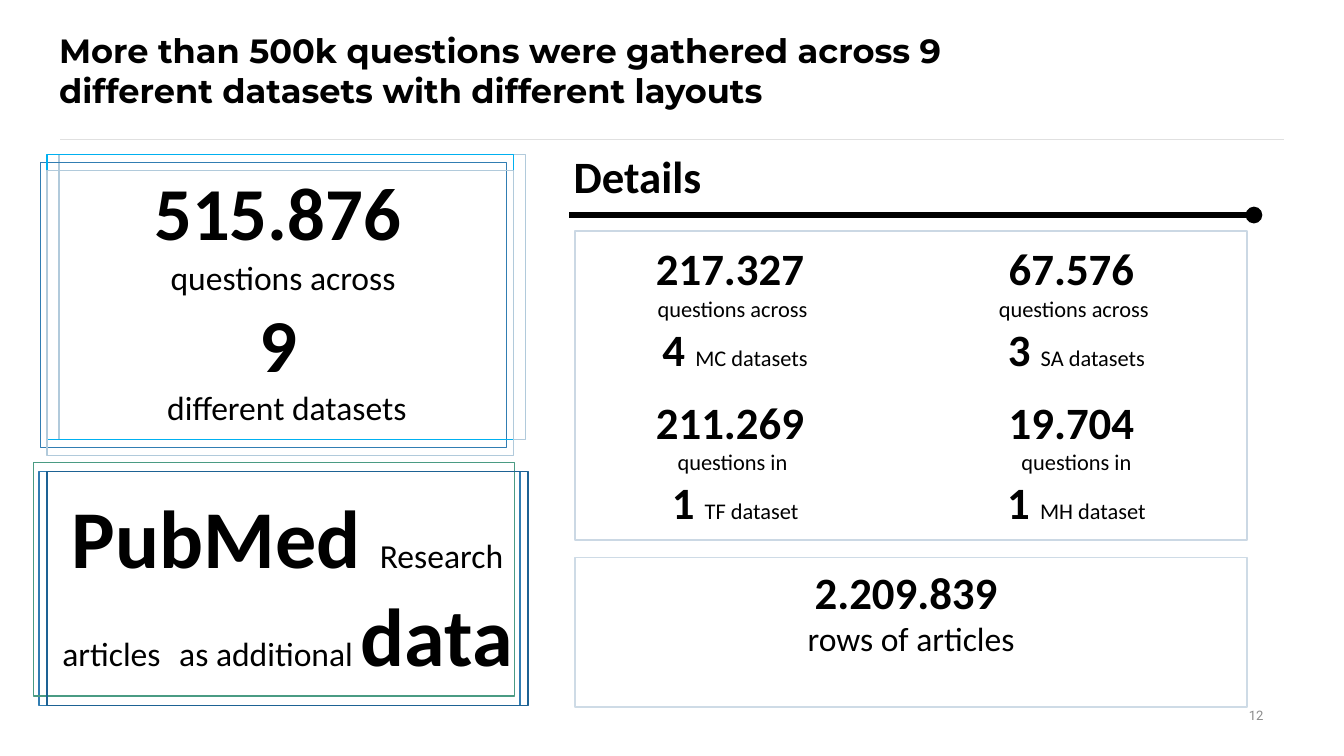
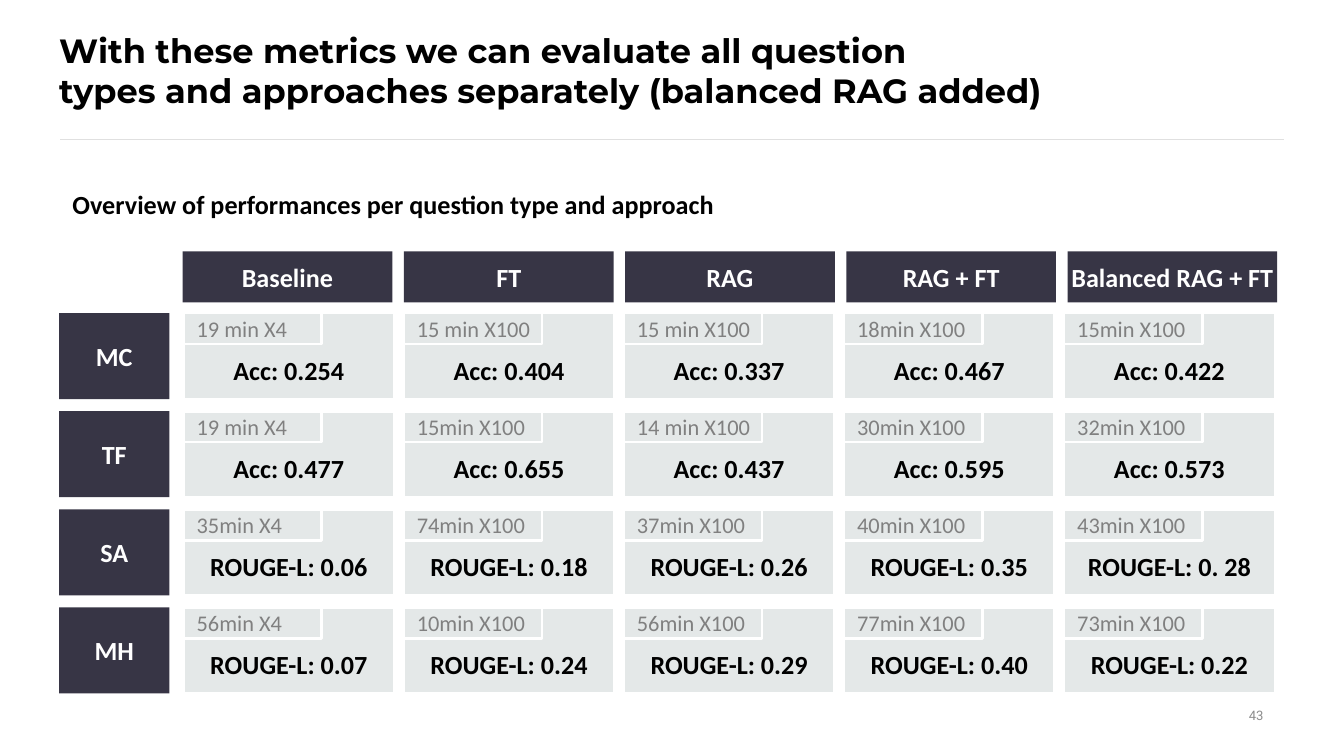
from dataclasses import dataclass
from itertools import product
from typing import NamedTuple

from lxml import etree
from pptx import Presentation, util as u
from pptx.dml.color import RGBColor
from pptx.enum import shapes, text
from pptx.oxml import ns

# The slide is 100 columns wide and 56.25 rows high; grid cells are square.
WIDTH, HEIGHT = u.Inches(10), u.Inches(5.625)
COLUMNS = 100

BLACK = RGBColor(0x00, 0x00, 0x00)
WHITE = RGBColor(0xFF, 0xFF, 0xFF)
RULE_GREY = RGBColor(0xE0, 0xE0, 0xE0)
NUMBER_GREY = RGBColor(0x8C, 0x8C, 0x8C)
TIME_GREY = RGBColor(0x80, 0x80, 0x80)
CELL_GREY = RGBColor(0xE4, 0xE8, 0xE8)
NAVY = RGBColor(0x37, 0x35, 0x45)
PALE_BLUE = RGBColor(0xB1, 0xCA, 0xDB)
MID_BLUE = RGBColor(0x31, 0x7D, 0xB2)
BRIGHT_BLUE = RGBColor(0x00, 0xB0, 0xF0)
DEEP_BLUE = RGBColor(0x1D, 0x62, 0x94)
GREEN = RGBColor(0x4A, 0x9B, 0x83)
ROWS_BLUE = RGBColor(0xCE, 0xDB, 0xE6)
DETAILS_BLUE = RGBColor(0xCB, 0xD8, 0xE4)

LEFT, CENTER, RIGHT = (text.PP_ALIGN.LEFT, text.PP_ALIGN.CENTER,
                       text.PP_ALIGN.RIGHT)
TOP, MIDDLE, BOTTOM = (text.MSO_ANCHOR.TOP, text.MSO_ANCHOR.MIDDLE,
                       text.MSO_ANCHOR.BOTTOM)


class Area(NamedTuple):
    left: float
    top: float
    width: float
    height: float


class Span(NamedTuple):
    text: str
    size: float
    bold: bool = True


class Frame(NamedTuple):
    left: float
    top: float
    color: RGBColor


@dataclass(frozen=True)
class Stat:
    total: str
    relation: str
    count: str
    kind: str


@dataclass(frozen=True)
class Result:
    time: str
    score: str


STATS = [
    Stat("217.327 ", "questions across ", "4 ", "MC datasets"),
    Stat("67.576 ", "questions across ", "3 ", "SA datasets"),
    Stat("211.269 ", "questions in ", "1 ", "TF dataset"),
    Stat("19.704 ", "questions in", "1 ", "MH dataset"),
]
TOTAL_FRAMES = [
    Frame(4.4, 11.5, PALE_BLUE), Frame(3, 12.1, MID_BLUE),
    Frame(3.5, 11.5, BRIGHT_BLUE), Frame(3.5, 12.7, PALE_BLUE),
]
ARTICLE_FRAMES = [
    Frame(3.5, 35.1, PALE_BLUE), Frame(2.9, 35.1, MID_BLUE),
    Frame(2.5, 34.4, GREEN), Frame(3.5, 35.1, DEEP_BLUE),
]

APPROACHES = ["Baseline", "FT", "RAG", "RAG + FT", "Balanced RAG + FT"]
RESULTS = {
    "MC": [Result("19 min X4", "Acc: 0.254"),
           Result("15 min X100", "Acc: 0.404"),
           Result("15 min X100", "Acc: 0.337"),
           Result("18min X100", "Acc: 0.467"),
           Result("15min X100", "Acc: 0.422")],
    "TF": [Result("19 min X4", "Acc: 0.477"),
           Result("15min X100", "Acc: 0.655"),
           Result("14 min X100", "Acc: 0.437"),
           Result("30min X100", "Acc: 0.595"),
           Result("32min X100", "Acc: 0.573")],
    "SA": [Result("35min X4", "ROUGE-L: 0.06"),
           Result("74min X100", "ROUGE-L: 0.18"),
           Result("37min X100", "ROUGE-L: 0.26"),
           Result("40min X100", "ROUGE-L: 0.35"),
           Result("43min X100", "ROUGE-L: 0. 28")],
    "MH": [Result("56min X4", "ROUGE-L: 0.07"),
           Result("10min X100", "ROUGE-L: 0.24"),
           Result("56min X100", "ROUGE-L: 0.29"),
           Result("77min X100", "ROUGE-L: 0.40"),
           Result("73min X100", "ROUGE-L: 0.22")],
}


def grid(cells: float) -> u.Emu:
    """Turn a number of grid cells into a length."""
    return u.Emu(round(cells * WIDTH / COLUMNS))


def write(shape, paragraphs: list[list[Span]], *, font: str = "Calibri",
          color: RGBColor = BLACK, align=LEFT, anchor=MIDDLE,
          insets: tuple = (1, 0.5, 1, 0.5)) -> None:
    """Fill a shape with paragraphs of spans; a newline is a line break."""
    frame = shape.text_frame
    frame.word_wrap = True
    frame.auto_size = text.MSO_AUTO_SIZE.NONE
    frame.vertical_anchor = anchor
    (frame.margin_left, frame.margin_top,
     frame.margin_right, frame.margin_bottom) = map(grid, insets)
    for index, spans in enumerate(paragraphs):
        para = frame.add_paragraph() if index else frame.paragraphs[0]
        para.alignment = align
        for span in spans:
            for number, line in enumerate(span.text.split("\n")):
                if number:
                    para.add_line_break()
                run = para.add_run()
                run.text = line
                run.font.name = font
                run.font.size = u.Pt(span.size)
                run.font.bold = span.bold
                run.font.color.rgb = color


def add_text(page, area: Area, paragraphs: list[list[Span]], **style) -> None:
    write(page.shapes.add_textbox(*map(grid, area)), paragraphs, **style)


def add_box(page, area: Area, *, fill: RGBColor | None = None,
            line: RGBColor | None = None, weight: float = 0.75):
    box = page.shapes.add_shape(shapes.MSO_SHAPE.RECTANGLE, *map(grid, area))
    box.shadow.inherit = False
    if fill is None:
        box.fill.background()
    else:
        box.fill.solid()
        box.fill.fore_color.rgb = fill
    if line is None:
        box.line.fill.background()
    else:
        box.line.color.rgb = line
        box.line.width = u.Pt(weight)
    return box


def add_rule(page, right: float, left: float, top: float, color: RGBColor,
             weight: float, dot: bool = False) -> None:
    """Draw a horizontal line, with an optional dot at its right end."""
    rule = page.shapes.add_connector(
        shapes.MSO_CONNECTOR.STRAIGHT, *map(grid, (right, top, left, top)))
    rule.line.color.rgb = color
    rule.line.width = u.Pt(weight)
    if dot:
        etree.SubElement(rule.line._get_or_add_ln(), ns.qn("a:headEnd"),
                         type="oval")
    etree.SubElement(rule._element.spPr, ns.qn("a:effectLst"))


def add_page(deck, title: str, title_width: float, number: int):
    """Add a slide with the shared title, rule and slide number."""
    page = deck.slides.add_slide(deck.slide_layouts.get_by_name("Title Only"))
    heading = page.shapes.title
    heading.left, heading.top, heading.width, heading.height = map(
        grid, Area(4.4, 2.2, title_width, 3.9))
    write(heading, [[Span(title, 18)]], font="Montserrat", anchor=TOP,
          insets=(0, 0, 0, 0))
    add_rule(page, 95.5, 4.5, 10.4, RULE_GREY, 0.75)
    add_text(page, Area(71.7, 51.7, 23.3, 3), [[Span(str(number), 7, False)]],
             font="Roboto", color=NUMBER_GREY, align=RIGHT)
    return page


def add_frames(page, frames: list[Frame], width: float,
               height: float) -> None:
    for frame in frames:
        add_box(page, Area(frame.left, frame.top, width, height),
                line=frame.color)


def build_datasets(deck) -> None:
    page = add_page(deck, "More than 500k questions were gathered across 9 "
                    "different datasets with different layouts", 66.7, 12)
    add_text(page, Area(5.1, 15.5, 32.5, 12.6), [
        [Span("515.876", 40), Span(" ", 44)],
        [Span("questions across ", 18, False)],
        [Span("9 ", 40)],
        [Span("different datasets", 18, False)],
    ], align=CENTER)
    add_frames(page, TOTAL_FRAMES, 34.7, 21.2)

    add_text(page, Area(3.5, 37.2, 35.8, 12.6), [[
        Span("PubMed ", 44), Span("Research articles", 18, False),
        Span(" ", 44), Span("as additional ", 18, False), Span("data", 44),
    ]], align=CENTER)
    add_frames(page, ARTICLE_FRAMES, 35.8, 17.4)

    add_text(page, Area(41.7, 10.6, 40.6, 5.4), [[Span("Details", 24)]],
             anchor=TOP)
    add_rule(page, 93.3, 42.3, 16, BLACK, 3, dot=True)
    add_box(page, Area(42.8, 17.2, 50, 23), line=DETAILS_BLUE)
    for stat, (row, column) in zip(STATS, product(range(2), repeat=2)):
        add_text(page, Area(39.9 + 25.4 * column, 16.65 + 11.4 * row,
                            29.6, 12.6), [
            [Span(stat.total, 24)],
            [Span(stat.relation, 12, False)],
            [Span(stat.count, 24), Span(stat.kind, 12, False)],
        ], align=CENTER)
    rows_box = add_box(page, Area(42.8, 41.5, 50, 11.1), line=ROWS_BLUE)
    write(rows_box, [[Span("2.209.839 ", 24)],
                     [Span("rows of articles", 18, False)]],
          align=CENTER, anchor=TOP)


def add_label(page, area: Area, label: str) -> None:
    write(add_box(page, area, fill=NAVY), [[Span(label, 14)]], color=WHITE,
          align=CENTER, insets=(0, 0, 0, 0))


def add_result(page, left: float, top: float, result: Result) -> None:
    """Draw a score cell with its run time in the top left corner."""
    cell_style = {"fill": CELL_GREY, "line": WHITE, "weight": 1.5}
    score = add_box(page, Area(left, top, 15.7, 6.4), **cell_style)
    write(score, [[Span(result.score, 14)]], align=CENTER, anchor=BOTTOM,
          insets=(1, 1, 1, 1))
    time = add_box(page, Area(left, top, 10.3, 2.3), **cell_style)
    write(time, [[Span(result.time, 12, False)]], color=TIME_GREY,
          insets=(1, 1, 0, 1))


def build_performance(deck) -> None:
    page = add_page(deck, "With these metrics we can evaluate all question \n"
                    "types and approaches separately (balanced RAG added)",
                    74.9, 43)
    add_text(page, Area(4.4, 13.2, 61.5, 3.9), [[Span(
        "Overview of performances per question type and approach", 14)]])
    for column, approach in enumerate(APPROACHES):
        add_label(page, Area(13.6 + 16.46 * column, 18.7, 15.6, 3.8),
                  approach)
    for row, (question_type, results) in enumerate(RESULTS.items()):
        top = 23.3 + 7.3 * row
        add_label(page, Area(4.4, top, 8.2, 6.4), question_type)
        for column, result in enumerate(results):
            add_result(page, 13.65 + 16.38 * column, top, result)


def main() -> None:
    deck = Presentation()
    deck.slide_width, deck.slide_height = WIDTH, HEIGHT
    build_datasets(deck)
    build_performance(deck)
    deck.save("out.pptx")


if __name__ == "__main__":
    main()
